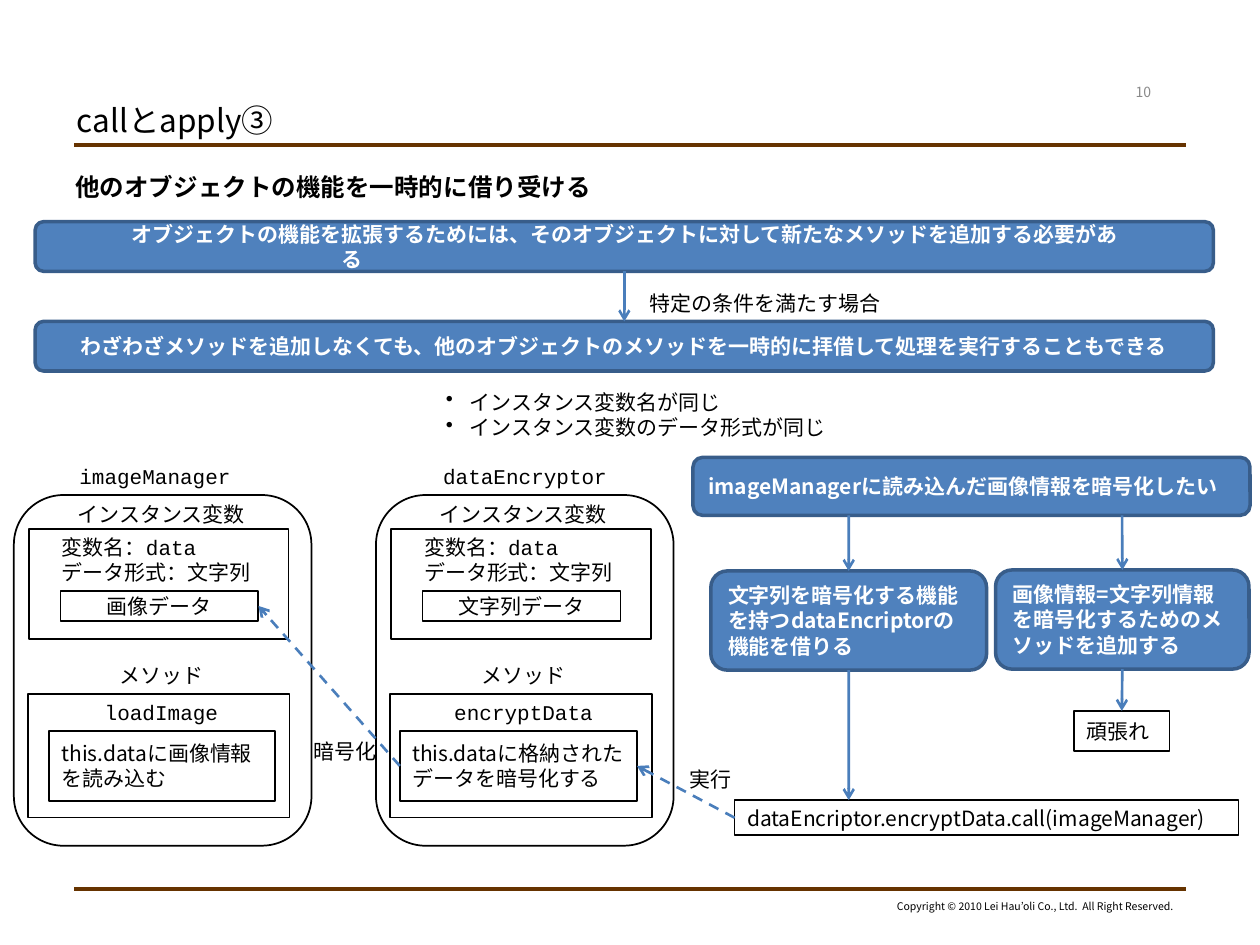
from collections import namedtuple
from dataclasses import dataclass

from lxml import etree
from pptx import Presentation
from pptx import util as u
from pptx.dml.color import RGBColor
from pptx.enum import dml, shapes, text
from pptx.oxml.ns import qn

Box = namedtuple("Box", "left top width height")


@dataclass(frozen=True)
class Theme:
    ink: str = "000000"
    white: str = "FFFFFF"
    muted: str = "898989"
    rule: str = "663300"
    blue: str = "4F81BD"
    blue_edge: str = "385D8A"
    arrow: str = "4A7EBB"
    sans: str = "Noto Sans CJK JP"
    mono: str = "Courier New"
    title: int = 18
    heading: int = 14
    body: int = 12
    number: int = 8
    footer: int = 6


T = Theme()
LEFT, CENTER, RIGHT = text.PP_ALIGN.LEFT, text.PP_ALIGN.CENTER, text.PP_ALIGN.RIGHT
TOP, MIDDLE = text.MSO_ANCHOR.TOP, text.MSO_ANCHOR.MIDDLE
RECT, ROUND = shapes.MSO_SHAPE.RECTANGLE, shapes.MSO_SHAPE.ROUNDED_RECTANGLE


def rgb(value):
    return RGBColor.from_string(value)


def cm(values):
    return [u.Cm(value) for value in values]


def write(frame, words, size=T.body, font=T.sans, color=T.ink, bold=False, align=LEFT,
          anchor=TOP, wrap=True, margin=0, indent=0, bullet=None, right_inset=0.25):
    frame.word_wrap = wrap
    frame.vertical_anchor = anchor
    frame.margin_left, frame.margin_right = u.Cm(0.25), u.Cm(right_inset)
    frame.margin_top = frame.margin_bottom = u.Cm(0.13)
    for index, line in enumerate(words.split("\n")):
        paragraph = frame.paragraphs[0] if index == 0 else frame.add_paragraph()
        paragraph.alignment = align
        properties = paragraph._p.get_or_add_pPr()
        properties.set("marL", str(u.Cm(margin)))
        properties.set("indent", str(u.Cm(indent)))
        if bullet:
            etree.SubElement(properties, qn("a:buChar")).set("char", bullet)
        run = paragraph.add_run()
        run.text = line
        run.font.size, run.font.bold, run.font.name = u.Pt(size), bold, font
        run.font.color.rgb = rgb(color)
        etree.SubElement(run._r.get_or_add_rPr(), qn("a:ea")).set("typeface", T.sans)


def label(slide, box, words, **style):
    write(slide.shapes.add_textbox(*cm(box)).text_frame, words, **style)


def block(slide, box, words="", kind=RECT, fill=None, edge=T.ink, weight=1, **style):
    shape = slide.shapes.add_shape(kind, *cm(box))
    shape.shadow.inherit = False
    if fill:
        shape.fill.solid()
        shape.fill.fore_color.rgb = rgb(fill)
    else:
        shape.fill.background()
    shape.line.color.rgb = rgb(edge)
    shape.line.width = u.Pt(weight)
    if words:
        write(shape.text_frame, words, anchor=MIDDLE, **style)
    return shape


def banner(slide, box, words, **style):
    return block(slide, box, words, kind=ROUND, fill=T.blue, edge=T.blue_edge, weight=2,
                 color=T.white, bold=True, **style)


def line(slide, start, end, color=T.arrow, weight=1.5, head=True, dashed=False):
    connector = slide.shapes.add_connector(shapes.MSO_CONNECTOR.STRAIGHT, *cm(start + end))
    connector.line.color.rgb = rgb(color)
    connector.line.width = u.Pt(weight)
    if dashed:
        connector.line.dash_style = dml.MSO_LINE.DASH
    if head:
        etree.SubElement(connector.line._get_or_add_ln(), qn("a:tailEnd")).set("type", "arrow")
    etree.SubElement(connector._element.spPr, qn("a:effectLst"))
    return connector


def join(slide, source, source_side, target, target_side, **style):
    connector = line(slide, (0, 0), (1, 1), **style)
    connector.begin_connect(source, source_side)
    connector.end_connect(target, target_side)


def drop(slide, x, y, target):
    line(slide, (x, y), (x, y + 1)).end_connect(target, 0)


def page_frame(slide, box):
    right = box.left + box.width
    for y in (box.top, box.top + box.height):
        line(slide, (box.left, y), (right, y), color=T.rule, weight=2.25, head=False)
    label(slide, Box(box.left - 0.2, box.top - 0.99, 14.43, 0.99), "callとapply③",
          size=T.title, anchor=MIDDLE)
    label(slide, Box(right - 1.6, box.top - 1.37, 1.5, 0.61), "10",
          size=T.number, color=T.muted, align=CENTER, anchor=MIDDLE)
    label(slide, Box(right - 6.15, box.top + box.height + 0.08, 6.15, 0.51),
          "Copyright © 2010 Lei Hau’oli Co., Ltd.  All Right Reserved.",
          size=T.footer, align=RIGHT, wrap=False)


def premise(slide, box):
    label(slide, Box(box.left + 0.56, box.top - 1.14, 22.86, 0.9),
          "他のオブジェクトの機能を一時的に借り受ける", size=T.heading, bold=True)
    rule = banner(slide, box._replace(height=1),
                  "オブジェクトの機能を拡張するためには、そのオブジェクトに対して新たなメソッドを追加する必要がある",
                  margin=5.87, indent=-4.22, right_inset=1.68)
    shortcut = banner(slide, Box(box.left, box.top + 2.01, box.width, 1),
                      "わざわざメソッドを追加しなくても、他のオブジェクトのメソッドを一時的に拝借して処理を実行することもできる",
                      align=CENTER)
    join(slide, rule, 2, shortcut, 0)
    label(slide, Box(box.left + 12.14, box.top + 1.25, 5.16, 0.76),
          "特定の条件を満たす場合", font=T.mono, wrap=False)
    label(slide, Box(box.left + 8.03, box.top + 3.25, 8.18, 1.27),
          "インスタンス変数名が同じ\nインスタンス変数のデータ形式が同じ",
          font=T.mono, wrap=False, margin=0.48, indent=-0.48, bullet="•")


def object_panel(slide, box, name, value, method, action, name_shift, action_left, action_width):
    def inside(left, top, width, height):
        return Box(box.left + left, box.top + top, width, height)

    block(slide, box, kind=ROUND)
    block(slide, inside(0.31, 0.69, 5.23, 2.21))
    block(slide, inside(0.28, 4.01, 5.28, 2.49))
    value_box = block(slide, inside(0.94, 1.93, 3.99, 0.61), value, align=CENTER)
    action_box = block(slide, inside(action_left, 4.75, action_width, 1.42), action)
    captions = ((name_shift, -0.76, name), (0, 0, "インスタンス変数"),
                (0, 3.25, "メソッド"), (0, 3.99, method))
    for shift, top, words in captions:
        label(slide, inside(shift, top, box.width - 0.05, 0.76), words,
              font=T.mono, align=CENTER)
    label(slide, inside(0.72, 0.66, 4.32, 1.27), "変数名：data\nデータ形式：文字列",
          font=T.mono, wrap=False)
    return value_box, action_box


def choices(slide, box):
    def inside(left, top, width, height):
        return Box(box.left + left, box.top + top, width, height)

    banner(slide, inside(0, 0, box.width, 1.17), "imageManagerに読み込んだ画像情報を暗号化したい")
    borrow = banner(slide, inside(0.36, 2.29, 5.56, 2),
                    "文字列を暗号化する機能を持つdataEncriptorの機能を借りる")
    extend = banner(slide, inside(6.1, 2.27, 5.11, 2),
                    "画像情報=文字列情報を暗号化するためのメソッドを追加する")
    effort = block(slide, inside(7.68, 5.11, 1.93, 0.81), "頑張れ")
    call = block(slide, inside(0.84, 6.91, 10.16, 0.71),
                 "dataEncriptor.encryptData.call(imageManager)")
    for center, target in ((3.14, borrow), (8.65, extend)):
        drop(slide, box.left + center, box.top + 1.17, target)
    join(slide, extend, 2, effort, 0)
    x = box.left + 3.14
    line(slide, (x, box.top + 4.29), (x, box.top + 6.91)).begin_connect(borrow, 2)
    return call


def main():
    deck = Presentation()
    deck.slide_width, deck.slide_height = u.Cm(25.4), u.Cm(19.05)
    slide = deck.slides.add_slide(deck.slide_layouts[6])
    page_frame(slide, Box(1.5, 2.92, 22.4, 15.01))
    premise(slide, Box(0.71, 4.47, 23.75, 3))
    image_data, _ = object_panel(
        slide, Box(0.28, 9.98, 6, 7.07), "imageManager", "画像データ", "loadImage",
        "this.dataに画像情報を読み込む", name_shift=-0.13, action_left=0.71, action_width=4.55)
    _, encrypt = object_panel(
        slide, Box(7.58, 9.98, 6, 7.07), "dataEncryptor", "文字列データ", "encryptData",
        "this.dataに格納されたデータを暗号化する", name_shift=0.03, action_left=0.48,
        action_width=4.78)
    call = choices(slide, Box(13.97, 9.22, 11.23, 7.62))
    join(slide, call, 1, encrypt, 3, dashed=True)
    join(slide, encrypt, 1, image_data, 3, dashed=True)
    label(slide, Box(13.65, 15.32, 1.35, 0.76), "実行", font=T.mono, wrap=False)
    label(slide, Box(6.07, 14.76, 1.78, 0.76), "暗号化", font=T.mono, wrap=False)
    deck.save("out.pptx")


if __name__ == "__main__":
    main()
